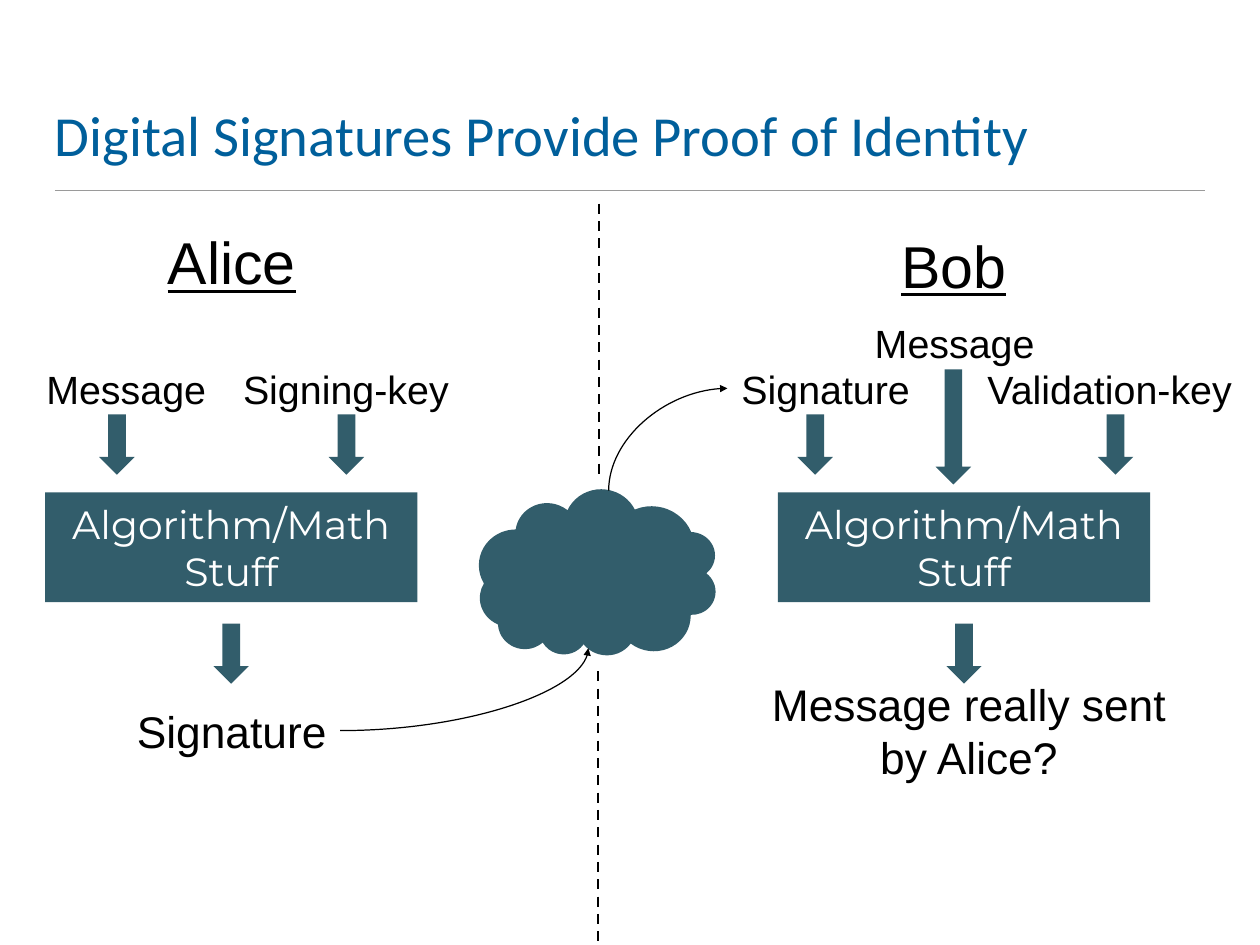
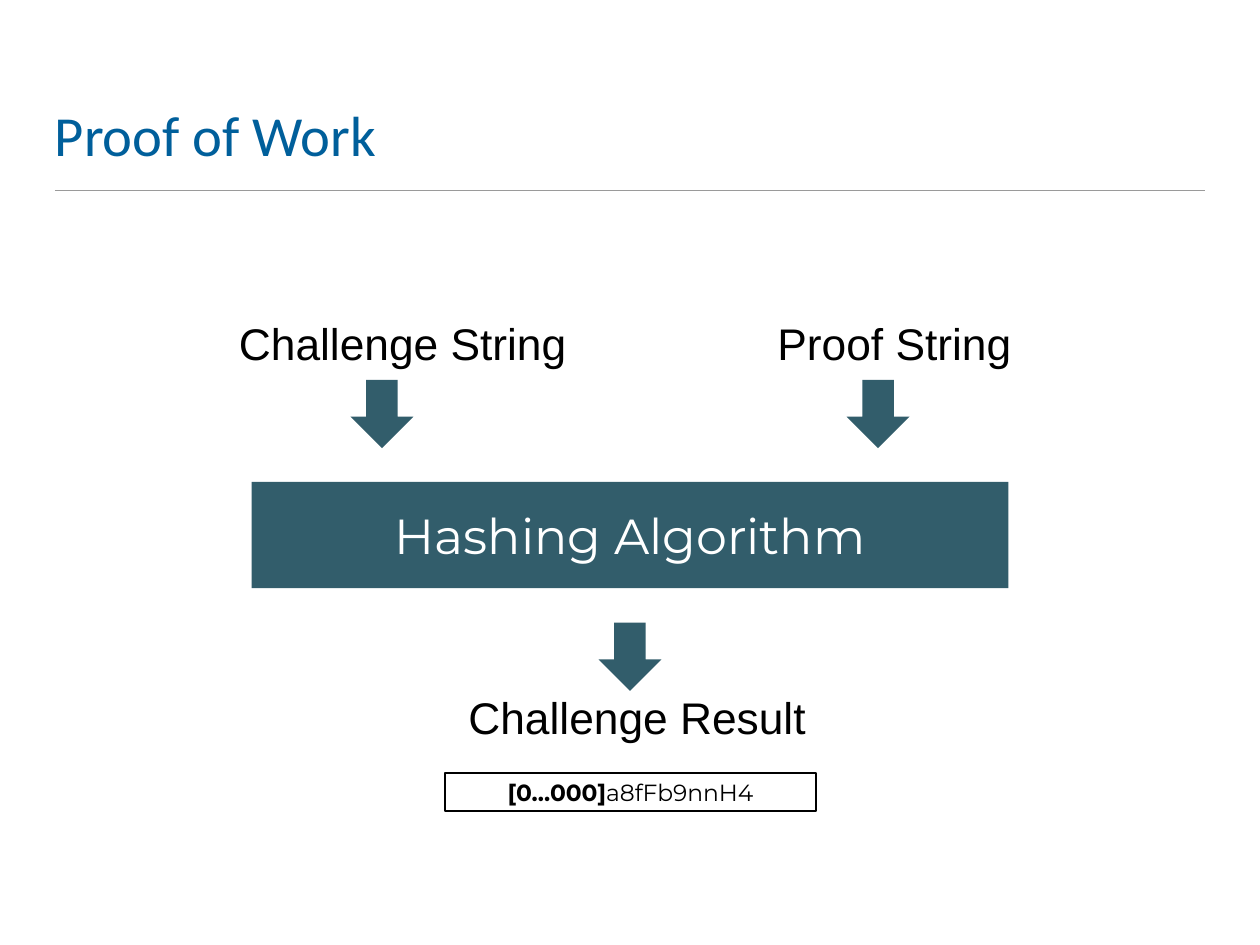
from pptx import Presentation
from pptx.dml.color import RGBColor
from pptx.enum import dml, shapes, text
from pptx.oxml import ns, xmlchemy
from pptx.util import Inches, Pt

TEAL = RGBColor(0x32, 0x5D, 0x6B)
BLUE = RGBColor(0x00, 0x5F, 0x9B)
GRAY = RGBColor(0x9A, 0x9A, 0x9A)
BLACK = RGBColor(0, 0, 0)
WHITE = RGBColor(255, 255, 255)
SHAPE = shapes.MSO_SHAPE
CURVE = shapes.MSO_CONNECTOR.CURVE
LINE = shapes.MSO_CONNECTOR.STRAIGHT


def write(frame, runs, size, face, color, align, anchor, inset):
    frame.word_wrap = True
    frame.auto_size = text.MSO_AUTO_SIZE.NONE
    frame.vertical_anchor = anchor
    frame.margin_left = frame.margin_right = Inches(inset)
    frame.margin_top = frame.margin_bottom = Inches(inset)
    para = frame.paragraphs[0]
    para.alignment = align
    for words, bold, under in runs:
        run = para.add_run()
        run.text = words
        font = run.font
        font.size, font.name, font.bold = Pt(size), face, bold
        font.underline = under
        font.color.rgb = color


def center(frame, runs, size, face, color):
    write(frame, runs, size, face, color, text.PP_ALIGN.CENTER,
          text.MSO_ANCHOR.MIDDLE, 0.06)


def label(slide, words, box, size=36, under=False):
    item = slide.shapes.add_textbox(*map(Inches, box))
    center(item.text_frame, [(words, False, under)], size, "Arial", BLACK)
    return item


def solid(slide, kind, box, fill=TEAL):
    item = slide.shapes.add_shape(kind, *map(Inches, box))
    item.shadow.inherit = False
    item.fill.solid()
    item.fill.fore_color.rgb = fill
    item.line.fill.background()
    return item


def block(slide, words, box, size):
    item = solid(slide, SHAPE.RECTANGLE, box)
    center(item.text_frame, [(words, False, False)], size, "Montserrat", WHITE)


def arrow(slide, mid, top, wide=0.4, high=0.68):
    solid(slide, SHAPE.DOWN_ARROW, (mid - wide / 2, top, wide, high))


def link(slide, ends, color=BLACK, width=1, kind=LINE):
    item = slide.shapes.add_connector(kind, *map(Inches, ends))
    item.line.color.rgb = color
    item.line.width = Pt(width)
    props = item._element.spPr
    props.append(xmlchemy.OxmlElement("a:effectLst"))
    return item


def curve(slide, ends, tip):
    item = link(slide, ends, kind=CURVE)
    geom = item._element.spPr.find(ns.qn("a:prstGeom"))
    geom.set("prst", "curvedConnector2")
    mark = xmlchemy.OxmlElement(tip)
    mark.set("type", "triangle")
    item.line._get_or_add_ln().append(mark)
    return item


def split(slide, left, top, end):
    item = link(slide, (left, top, left, end), width=2)
    item.line.dash_style = dml.MSO_LINE.DASH


def start(deck, words):
    slide = deck.slides.add_slide(deck.slide_layouts[5])
    title = slide.shapes.title
    title.left, title.top = Inches(0.62), Inches(0.36)
    title.width, title.height = Inches(12.97), Inches(1.53)
    write(title.text_frame, [(words, False, False)], 46, "Calibri", BLUE,
          text.PP_ALIGN.LEFT, text.MSO_ANCHOR.BOTTOM, 0)
    link(slide, (0.62, 2.15, 13.6, 2.15), GRAY)
    return slide


def party(slide, name, top, left, base, inputs, out):
    label(slide, name, (base - 1.23, top, 2.45, 0.92), 48, True)
    block(slide, "Algorithm/Math Stuff", (left, 5.56, 4.2, 1.24), 32)
    items = []
    for words, side, wide, mid in inputs:
        items.append(label(slide, words, (side, 4.06, wide, 0.65), 32))
        arrow(slide, mid, 4.68)
    words, box, mid = out
    arrow(slide, mid, 7.04)
    items.append(label(slide, words, box))
    return items


def sign(deck):
    slide = start(deck, "Digital Signatures Provide Proof of Identity")
    alice = party(
        slide, "Alice", 2.49, 0.51, 2.62,
        [("Message", 0.43, 1.99, 1.32), ("Signing-key", 2.68, 2.45, 3.91)],
        ("Signature", (1.39, 7.95, 2.45, 0.6), 2.61))
    bob = party(
        slide, "Bob", 2.53, 8.78, 10.77,
        [("Signature", 8.21, 2.22, 9.2), ("Validation-key", 10.96, 3.13, 12.59)],
        ("Message really sent by Alice?", (8.47, 7.59, 4.93, 1.32), 10.88))
    label(slide, "Message", (9.56, 3.55, 2.43, 0.65), 32)
    arrow(slide, 10.76, 4.17, high=1.3)
    cloud = solid(slide, SHAPE.CLOUD, (5.4, 5.53, 2.69, 1.91))
    cloud.rotation = 187.6
    send = curve(slide, (3.84, 8.25, 6.64, 7.32), "a:tailEnd")
    send.begin_connect(alice[-1], 3)
    fetch = curve(slide, (8.21, 4.38, 6.87, 5.54), "a:headEnd")
    fetch.begin_connect(bob[0], 1)
    split(slide, 6.76, 2.3, 5.36)
    split(slide, 6.75, 7.58, 10.63)


def work(deck):
    slide = start(deck, "Proof of Work")
    block(slide, "Hashing Algorithm", (2.84, 5.44, 8.54, 1.2), 40)
    for words, left, top, wide in [("Challenge String", 2.58, 3.52, 3.93),
                                   ("Proof String", 8.66, 3.52, 2.87),
                                   ("Challenge Result", 5.17, 7.74, 4.04)]:
        label(slide, words, (left, top, wide, 0.71))
    for mid, top in [(4.31, 4.29), (9.91, 4.29), (7.11, 7.03)]:
        arrow(slide, mid, top, 0.71, 0.77)
    hash_box = solid(slide, SHAPE.RECTANGLE, (5.02, 8.73, 4.19, 0.43), WHITE)
    hash_box.line.color.rgb = BLACK
    hash_box.line.width = Pt(2)
    center(hash_box.text_frame,
           [("[0…000]", True, False), ("a8fFb9nnH4", False, False)],
           19, "Montserrat", BLACK)


def main():
    deck = Presentation()
    deck.slide_width, deck.slide_height = Inches(14.22), Inches(10.67)
    sign(deck)
    work(deck)
    deck.save("out.pptx")


if __name__ == "__main__":
    main()
